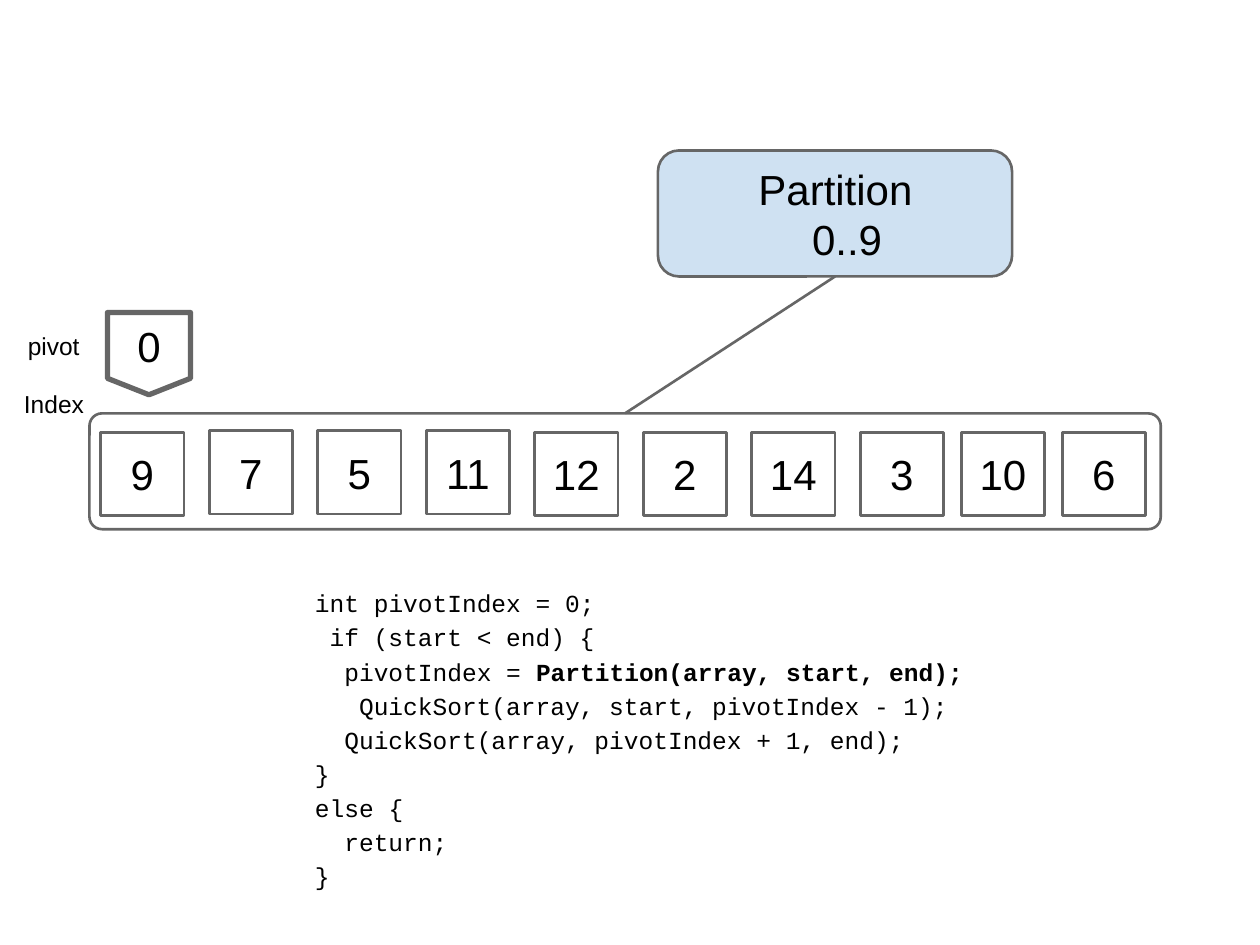
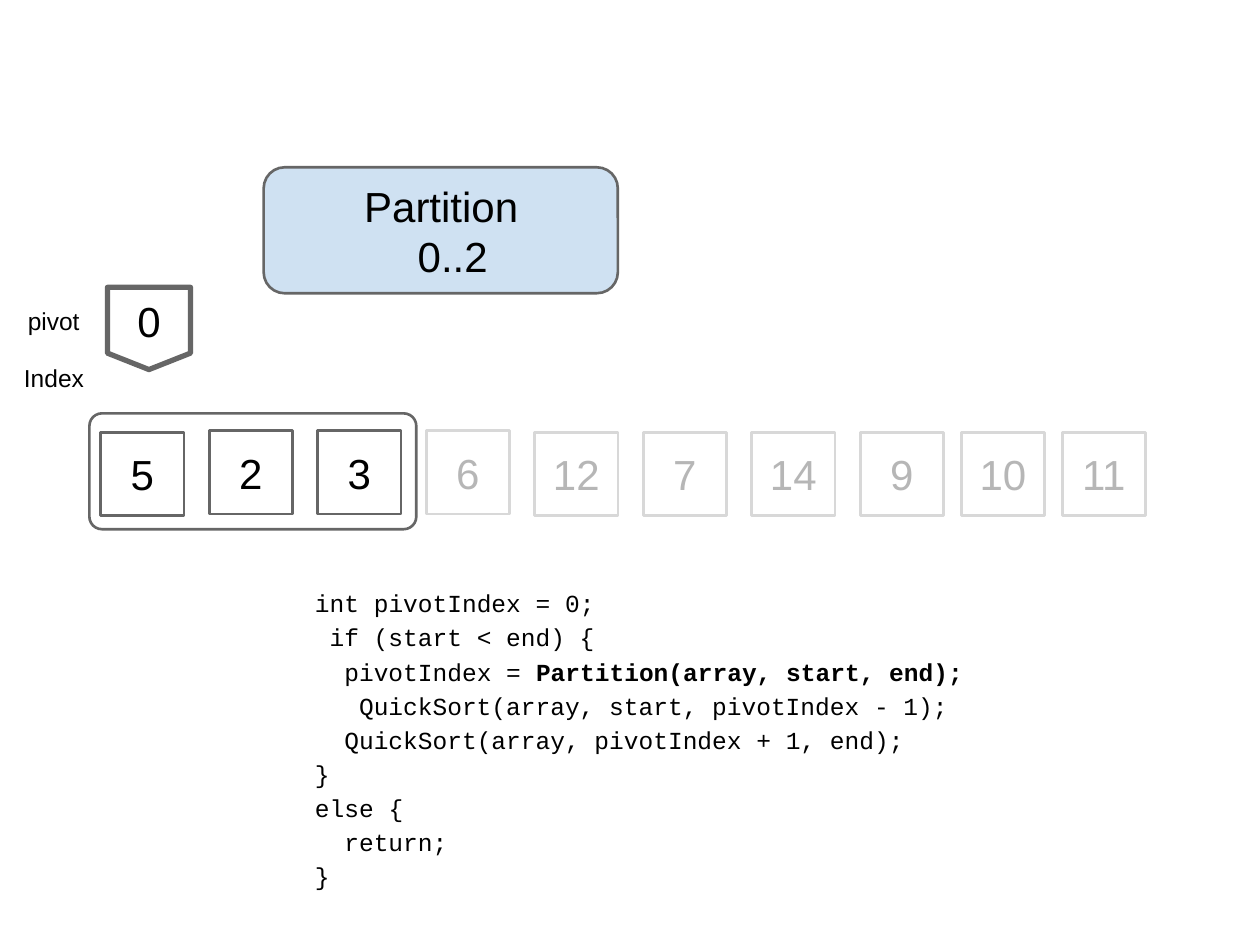
from pptx import Presentation
from pptx.dml.color import RGBColor
from pptx.enum.shapes import MSO_CONNECTOR, MSO_SHAPE
from pptx.enum.text import MSO_ANCHOR, MSO_AUTO_SIZE, PP_ALIGN
from pptx.oxml.ns import qn
from pptx.util import Pt
from lxml.etree import SubElement

STEPS = [
    dict(title="Partition\v0..9", array=[9, 7, 5, 11, 12, 2, 14, 3, 10, 6], active=10,
         pivot="0", pivot_y=178.6, call=(376, 86), linked=True),
    dict(title="Partition\v0..2", array=[5, 2, 3, 6, 12, 7, 14, 9, 10, 11], active=3,
         pivot="0", pivot_y=164.2, call=(150.7, 95.6), linked=False),
]
CODE = [
    (0, "int pivotIndex = 0;", ""),
    (1, "if (start < end) {", ""),
    (2, "pivotIndex = ", "Partition(array, start, end);"),
    (3, "QuickSort(array, start, pivotIndex - 1);", ""),
    (2, "QuickSort(array, pivotIndex + 1, end);", ""),
    (0, "}", ""),
    (0, "else {", ""),
    (2, "return;", ""),
    (0, "}", ""),
]
BLACK, GRAY, PALE, FADED, BLUE = "000000", "666666", "D8D8D8", "B6B6B6", "CFE1F2"
CELL = 47.5
CELL_X = [57.6 + 62 * i for i in range(8)] + [549.4, 607]
RAISED = (1, 2, 3)
FRAME_X, FRAME_Y, FRAME_H = 51.1, 236.2, 66.2
CALL_W, CALL_H = 202.4, 72
CHAR_W = 8.4


def rgb(color):
    return RGBColor.from_string(color)


def set_font(p, size, color=BLACK, name="Arial"):
    f = p.font
    f.size, f.name, f.bold = Pt(size), name, False
    f.color.rgb = rgb(color)


def indent(p, left, first=0):
    pPr = p._p.get_or_add_pPr()
    pPr.set("marL", str(Pt(left)))
    pPr.set("indent", str(Pt(first)))


def set_frame(tf, top=0, anchor=MSO_ANCHOR.TOP):
    tf.margin_left = tf.margin_right = tf.margin_bottom = 0
    tf.margin_top = Pt(top)
    tf.word_wrap, tf.auto_size, tf.vertical_anchor = True, MSO_AUTO_SIZE.NONE, anchor


def add_box(s, kind, x, y, w, h, line=GRAY, weight=1.5, fill=None, radius=None):
    sp = s.shapes.add_shape(kind, Pt(x), Pt(y), Pt(w), Pt(h))
    sp.shadow.inherit = False
    sp.line.color.rgb = rgb(line)
    sp.line.width = Pt(weight)
    if fill:
        sp.fill.solid()
        sp.fill.fore_color.rgb = rgb(fill)
    else:
        sp.fill.background()
    if radius:
        sp.adjustments[0] = radius / h
    return sp


def add_number(s, text, color, *box, **style):
    sp = add_box(s, *box, **style)
    set_frame(sp.text_frame, anchor=MSO_ANCHOR.MIDDLE)
    p = sp.text_frame.paragraphs[0]
    p.text, p.alignment = text, PP_ALIGN.CENTER
    set_font(p, 24, color)


def add_lines(s, x, y, w, h, count):
    tf = s.shapes.add_textbox(Pt(x), Pt(y), Pt(w), Pt(h)).text_frame
    set_frame(tf)
    return [tf.paragraphs[0]] + [tf.add_paragraph() for _ in range(count - 1)]


def add_array(s, array, active):
    for i, (x, value) in enumerate(zip(CELL_X, array)):
        line, color = (GRAY, BLACK) if i < active else (PALE, FADED)
        y = 246.2 if i in RAISED else 247
        add_number(s, str(value), color, MSO_SHAPE.RECTANGLE, x, y, CELL, CELL, line=line)
    width = CELL_X[active - 1] + CELL + 8.8 - FRAME_X
    return add_box(s, MSO_SHAPE.ROUNDED_RECTANGLE, FRAME_X, FRAME_Y, width, FRAME_H, radius=7.2)


def add_code(s):
    for p, (depth, text, call) in zip(add_lines(s, 180, 333.5, 374, 178, len(CODE)), CODE):
        p.line_spacing = Pt(19.5)
        indent(p, depth * CHAR_W)
        set_font(p, 14, name="Courier New")
        p.add_run().text = text
        if call:
            r = p.add_run()
            r.text, r.font.bold = call, True


def add_pivot(s, value, y):
    add_number(s, value, BLACK, MSO_SHAPE.FLOWCHART_OFFPAGE_CONNECTOR, 61.4, y, CELL, 47, weight=3)
    pivot, index = add_lines(s, 13, y + 10.8, 44, 50, 2)
    for p, text, left in ((pivot, "pivot", 2.9), (index, "Index", 0.7)):
        p.text, p.line_spacing = text, Pt(16.5)
        indent(p, left)
        set_font(p, 14)
    index.space_before = Pt(16.5)


def add_call(s, title, x, y):
    box = add_box(s, MSO_SHAPE.ROUNDED_RECTANGLE, x, y, CALL_W, CALL_H, fill=BLUE, radius=12)
    sp = s.shapes.title
    sp.left, sp.top, sp.width, sp.height = Pt(x + 56), Pt(y + 5.6), Pt(96), Pt(60)
    s.shapes._spTree.append(sp._element)
    set_frame(sp.text_frame, top=2.2)
    sp.text_frame.text = title
    p = sp.text_frame.paragraphs[0]
    p.alignment, p.line_spacing = PP_ALIGN.LEFT, Pt(28.5)
    indent(p, 32, -30.6)
    set_font(p, 24)
    return box


def add_link(s, start, end):
    c = s.shapes.add_connector(MSO_CONNECTOR.STRAIGHT, 0, 0, 0, 0)
    c.begin_connect(start, 2)
    c.end_connect(end, 0)
    c.line.color.rgb = rgb(GRAY)
    c.line.width = Pt(1.5)
    SubElement(c._element.spPr, qn("a:effectLst"))


def main():
    prs = Presentation()
    prs.slide_width, prs.slide_height = Pt(720), Pt(540)
    for step in STEPS:
        s = prs.slides.add_slide(prs.slide_layouts[5])
        frame = add_array(s, step["array"], step["active"])
        add_code(s)
        add_pivot(s, step["pivot"], step["pivot_y"])
        call = add_call(s, step["title"], *step["call"])
        if step["linked"]:
            add_link(s, call, frame)
    prs.save("out.pptx")


if __name__ == "__main__":
    main()
